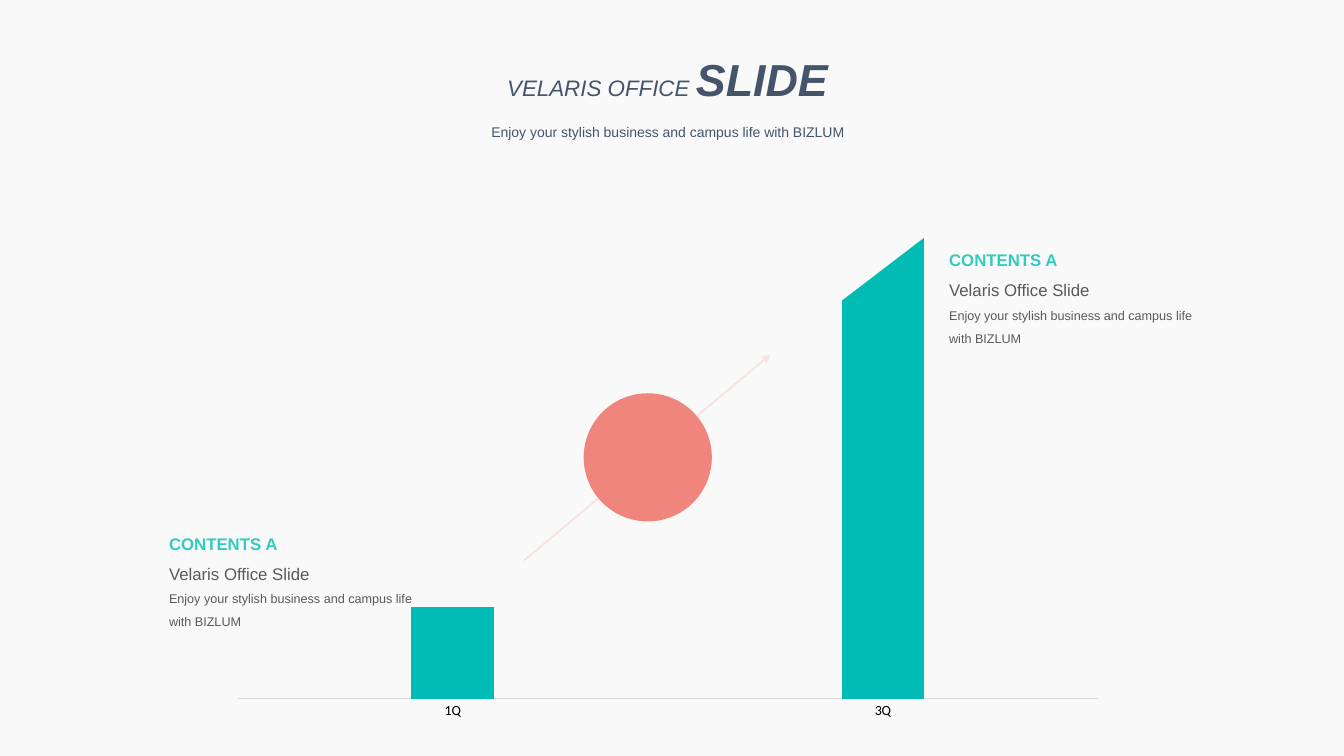
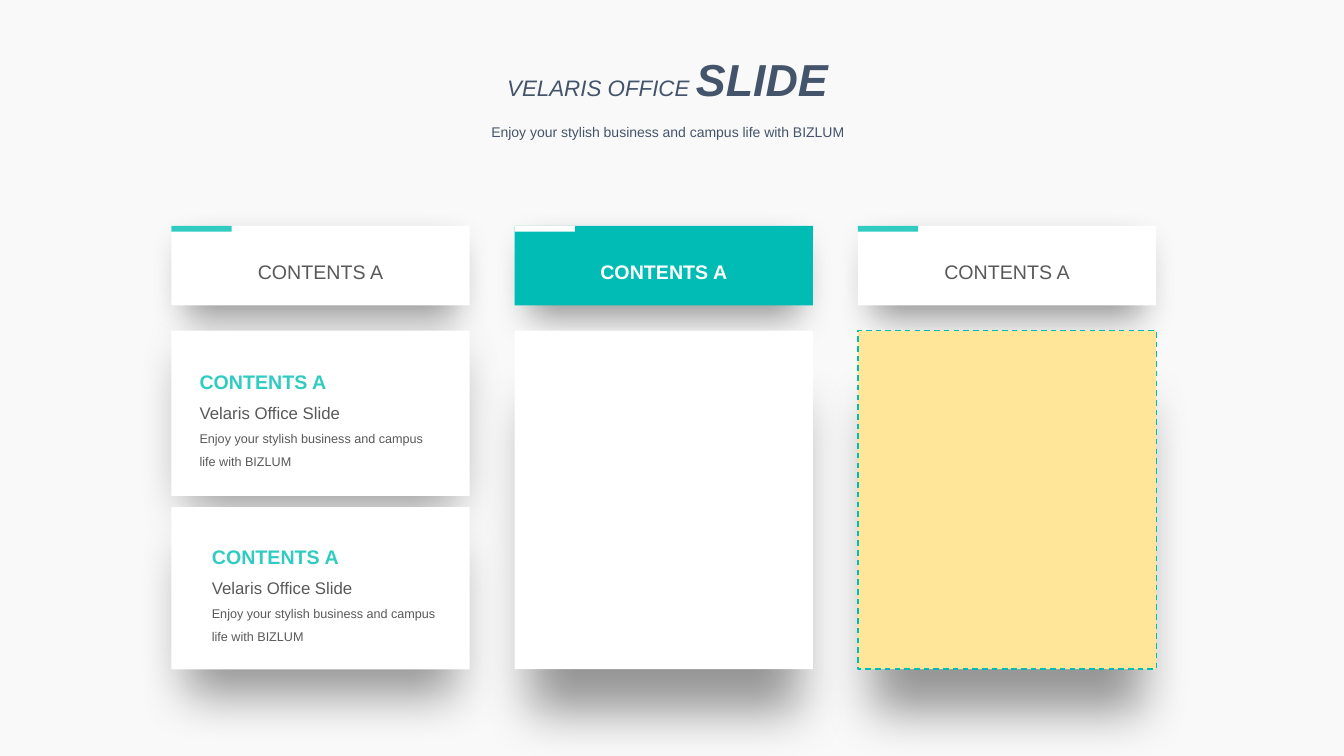
from dataclasses import dataclass

from lxml import etree
from pptx import Presentation
from pptx.chart.data import CategoryChartData
from pptx.dml.color import RGBColor
from pptx.enum.chart import XL_CHART_TYPE, XL_TICK_MARK
from pptx.enum.dml import MSO_LINE
from pptx.enum.shapes import MSO_CONNECTOR, MSO_SHAPE
from pptx.enum.text import MSO_ANCHOR, MSO_AUTO_SIZE, PP_ALIGN
from pptx.oxml import parse_xml
from pptx.oxml.ns import nsdecls, qn
from pptx.util import Cm, Pt

COLUMN = XL_CHART_TYPE.COLUMN_CLUSTERED
NO_TICK = XL_TICK_MARK.NONE
DASH = MSO_LINE.DASH
STRAIGHT = MSO_CONNECTOR.STRAIGHT
RECT, OVAL, WEDGE = MSO_SHAPE.RECTANGLE, MSO_SHAPE.OVAL, MSO_SHAPE.RIGHT_TRIANGLE
TOP, MIDDLE = MSO_ANCHOR.TOP, MSO_ANCHOR.MIDDLE
FIXED = MSO_AUTO_SIZE.NONE
LEFT, CENTER = PP_ALIGN.LEFT, PP_ALIGN.CENTER


@dataclass(frozen=True)
class Theme:
    font: str = "Arial"
    plot: str = "Calibri"
    back: str = "F9F9F9"
    navy: str = "44546A"
    teal: str = "01BCB5"
    mint: str = "30CCC1"
    coral: str = "F0857D"
    sand: str = "FFE699"
    gray: str = "595959"
    rule: str = "D9D9D9"
    white: str = "FFFFFF"
    black: str = "000000"
    huge: int = 32
    big: int = 16
    head: int = 14
    mid: int = 12
    small: int = 10
    tiny: int = 9


T = Theme()

TITLE = (("VELARIS OFFICE ", T.big, False), ("SLIDE", T.huge, True))
MOTTO = "Enjoy your stylish business and campus life with BIZLUM"
LABEL = "CONTENTS A"
BRAND = "Velaris Office Slide"

QUARTERS = ("1Q", "3Q")
VALUES = (20, 100)
NOTES = ((23.67, 5.92), (4.01, 13.06))

HEADS = (
    (T.white, T.gray, False, T.mint),
    (T.teal, T.white, True, T.white),
    (T.white, T.gray, False, T.mint),
)
CARDS = (
    (0, 8.33, 4.17, T.white, 13, 0.71),
    (0, 12.78, 4.09, T.white, 24, 1.02),
    (1, 8.33, 8.53, T.white, 42, None),
    (2, 8.33, 8.53, T.sand, 42, None),
)
EDGE, STEP, WIDE = 4.32, 8.65, 7.52
HIGH, TALL = 5.69, 2.01


def rgb(tone):
    return RGBColor.from_string(tone)


def box(*cells):
    return [Cm(cell) for cell in cells]


def style(run, size, tone, bold=False, slant=False):
    font = run.font
    font.name, font.size = T.font, Pt(size)
    font.bold, font.italic = bold, slant
    font.color.rgb = rgb(tone)


def write(frame, rows, align=LEFT, space=1.5):
    frame.word_wrap = True
    frame.auto_size = FIXED
    frame.text = "\n".join(row[0] for row in rows)
    for para, (_, *look) in zip(frame.paragraphs, rows):
        para.alignment, para.line_spacing = align, space
        para.space_before = Pt(0)
        for run in para.runs:
            style(run, *look)


def copy_rows(size):
    return (
        (LABEL, size, T.mint, True),
        (BRAND, T.mid, T.gray),
        (MOTTO, T.tiny, T.gray),
    )


def add_form(slide, kind, place, fill):
    form = slide.shapes.add_shape(kind, *box(*place))
    form.shadow.inherit = False
    form.fill.solid()
    form.fill.fore_color.rgb = rgb(fill)
    form.line.fill.background()
    return form


def cast(form, blur, drop):
    glow = parse_xml(
        f'<a:outerShdw {nsdecls("a")} blurRad="{Pt(blur)}" dist="{Pt(drop)}" '
        f'dir="5400000" sx="90000" sy="90000" algn="ctr" rotWithShape="0">'
        f'<a:srgbClr val="{T.black}"><a:alpha val="40000"/></a:srgbClr></a:outerShdw>'
    )
    form._element.spPr.find(qn("a:effectLst")).append(glow)


def set_base(deck):
    fill = deck.slide_master.background.fill
    fill.solid()
    fill.fore_color.rgb = rgb(T.back)
    layout = deck.slide_layouts[0]
    for mark, top, tall in ((0, 0.51, 2.08), (1, 2.55, 1.11)):
        hold = layout.placeholders[mark]
        hold.left, hold.top, hold.width, hold.height = box(9.98, top, 13.69, tall)
        hold.text_frame.vertical_anchor = TOP
    return layout


def add_page(deck, layout):
    slide = deck.slides.add_slide(layout)
    frame = slide.shapes.title.text_frame
    frame.auto_size = FIXED
    para = frame.paragraphs[0]
    para.alignment, para.line_spacing = CENTER, 1.5
    for text, size, bold in TITLE:
        run = para.add_run()
        run.text = text
        style(run, size, T.navy, bold, True)
    write(slide.placeholders[1].text_frame, ((MOTTO, T.small, T.navy),), CENTER, 2)
    return slide


def add_arrow(slide):
    arrow = slide.shapes.add_connector(STRAIGHT, *box(13.21, 14.12, 19.41, 8.94))
    arrow.line.color.rgb = rgb(T.coral)
    arrow.line.width = Pt(1.25)
    props = arrow._element.spPr
    tone = props.find(".//" + qn("a:srgbClr"))
    etree.SubElement(tone, qn("a:alpha"), val="20000")
    etree.SubElement(props.find(qn("a:ln")), qn("a:tailEnd"), type="triangle")
    etree.SubElement(props, qn("a:effectLst"))


def clear_back(chart):
    root = chart._chartSpace.find(qn("c:chart"))
    area = root.find(qn("c:plotArea"))
    blank = f'<c:spPr {nsdecls("c", "a")}><a:noFill/><a:ln><a:noFill/></a:ln></c:spPr>'
    root.addnext(parse_xml(blank))
    area.append(parse_xml(blank))
    old = area.find(qn("c:layout"))
    if old is not None:
        area.remove(old)
    frame = etree.Element(qn("c:layout"))
    spot = etree.SubElement(frame, qn("c:manualLayout"))
    for name, value in (
        ("layoutTarget", "inner"), ("xMode", "edge"), ("yMode", "edge"),
        ("x", "0.02"), ("y", "0.02"), ("w", "0.96"), ("h", "0.925"),
    ):
        etree.SubElement(spot, qn("c:" + name), val=value)
    area.insert(0, frame)


def add_bars(slide):
    data = CategoryChartData()
    data.categories = QUARTERS
    data.add_series("Series 1", VALUES)
    place = box(5.54, 3.38, 22.58, 15.06)
    chart = slide.shapes.add_chart(COLUMN, *place, data).chart
    chart.has_legend = chart.has_title = False
    chart.font.name, chart.font.size = T.plot, Pt(T.small)
    chart.font.color.rgb = rgb(T.black)
    plot = chart.plots[0]
    plot.gap_width, plot.vary_by_categories = 421, False
    fill = plot.series[0].format.fill
    fill.solid()
    fill.fore_color.rgb = rgb(T.teal)
    base, scale = chart.category_axis, chart.value_axis
    base.major_tick_mark = base.minor_tick_mark = NO_TICK
    base.format.line.color.rgb = rgb(T.rule)
    base.format.line.width = Pt(0.75)
    scale.has_major_gridlines = scale.visible = False
    scale.minimum_scale, scale.maximum_scale = 0, 120
    clear_back(chart)


def growth(slide):
    add_arrow(slide)
    add_bars(slide)
    add_form(slide, WEDGE, (21.11, 5.26, 2.31, 3.02), T.back).rotation = 90
    add_form(slide, OVAL, (14.71, 9.91, 3.23, 3.23), T.coral)
    for left, top in NOTES:
        note = slide.shapes.add_textbox(*box(left, top, 6.88, 2.95))
        write(note.text_frame, copy_rows(T.mid))


def board(slide):
    for col, (fill, tone, bold, tab) in enumerate(HEADS):
        left = EDGE + col * STEP
        head = add_form(slide, RECT, (left, HIGH, WIDE, TALL), fill)
        cast(head, 26, 11)
        head.text_frame.vertical_anchor = MIDDLE
        write(head.text_frame, ((LABEL, T.head, tone, bold),), CENTER)
        add_form(slide, RECT, (left, HIGH, 1.52, 0.15), tab)
    for col, top, tall, fill, drop, inset in CARDS:
        card = add_form(slide, RECT, (EDGE + col * STEP, top, WIDE, tall), fill)
        cast(card, 36, drop)
        if inset:
            frame = card.text_frame
            frame.vertical_anchor = MIDDLE
            frame.margin_left, frame.margin_right = box(inset, 0.71)
            write(frame, copy_rows(T.head))
        if fill == T.sand:
            card.line.color.rgb = rgb(T.teal)
            card.line.width, card.line.dash_style = Pt(1), DASH


def main():
    deck = Presentation()
    deck.slide_width, deck.slide_height = box(33.87, 19.05)
    layout = set_base(deck)
    for fill in (growth, board):
        fill(add_page(deck, layout))
    deck.save("out.pptx")


if __name__ == "__main__":
    main()
